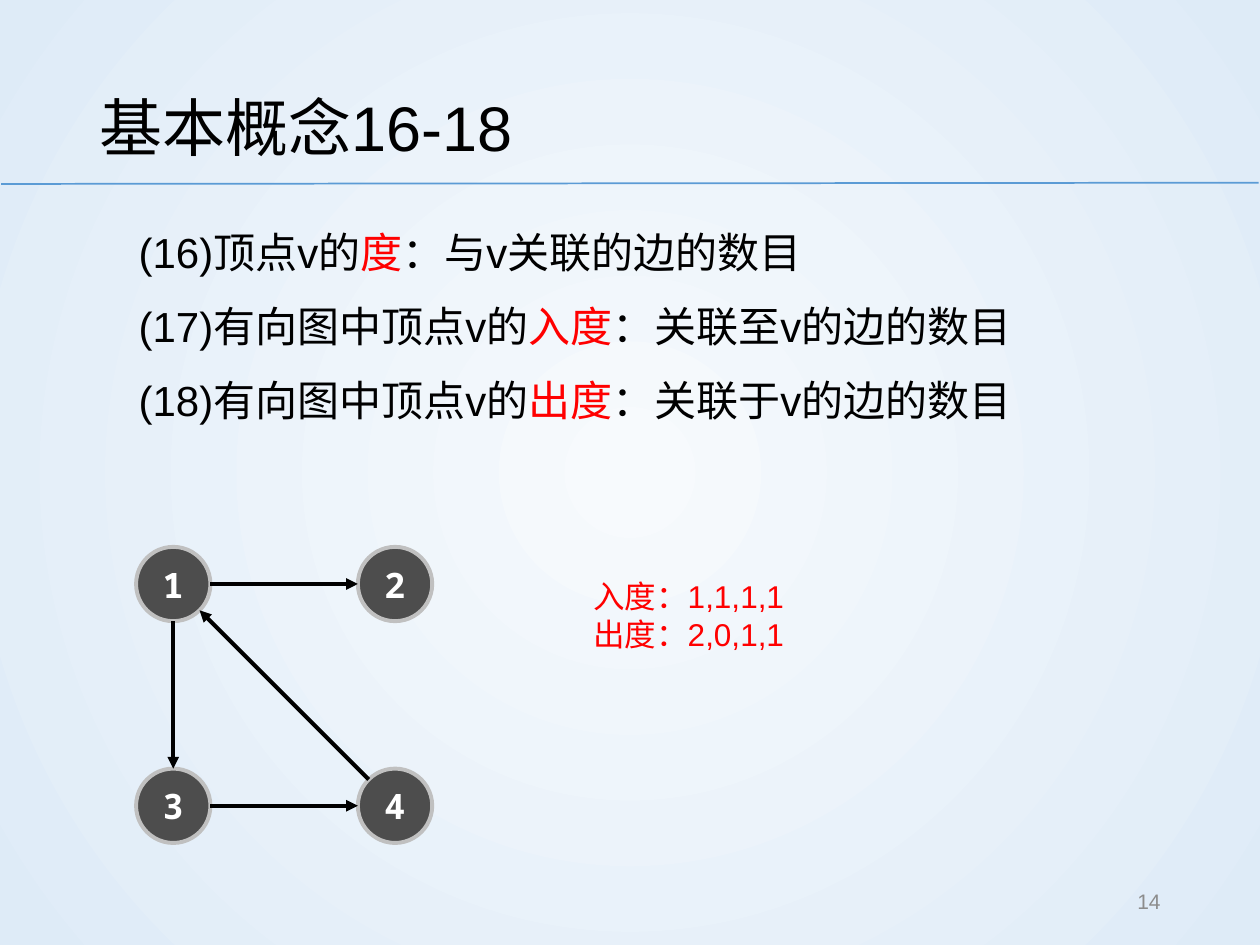
from lxml.etree import SubElement
from pptx import Presentation
from pptx.dml.color import RGBColor
from pptx.enum.shapes import MSO_CONNECTOR, MSO_SHAPE
from pptx.enum.text import MSO_ANCHOR, MSO_AUTO_SIZE, PP_ALIGN
from pptx.oxml import parse_xml
from pptx.oxml.ns import nsdecls, qn
from pptx.util import Inches, Pt


def style(r, size, color, name="Arial", bold=False):
    r.font.size = Pt(size)
    r.font.name = name
    r.font.bold = bold
    r.font.color.rgb = RGBColor.from_string(color)


def add_line(x1, y1, x2, y2, color, width):
    line = s.shapes.add_connector(MSO_CONNECTOR.STRAIGHT, Inches(x1), Inches(y1), Inches(x2), Inches(y2))
    line.line.color.rgb = RGBColor.from_string(color)
    line.line.width = Pt(width)
    SubElement(line._element.spPr, qn("a:effectLst"))
    return line


prs = Presentation()
prs.slide_width, prs.slide_height = Inches(10), Inches(7.5)
s = prs.slides.add_slide(prs.slide_layouts[1])

fill = s.background.fill
fill.gradient()
for stop, color in zip(fill.gradient_stops, ("F7FAFD", "DEEBF7")):
    stop.color.rgb = RGBColor.from_string(color)
grad = s.background._cSld.find(".//" + qn("a:gradFill"))
grad.replace(grad.find(qn("a:lin")), parse_xml(
    f'<a:path {nsdecls("a")} path="circle"><a:fillToRect l="50000" t="50000" r="50000" b="50000"/></a:path>'))

add_line(0.01, 1.46, 9.99, 1.45, "5B9BD5", 1)

title = s.shapes.title
title.left, title.top, title.width, title.height = Inches(0.69), Inches(0.4), Inches(8.62), Inches(1.08)
tf = title.text_frame
tf.text = "基本概念16-18"
tf.auto_size = MSO_AUTO_SIZE.NONE
tf.vertical_anchor = MSO_ANCHOR.MIDDLE
p = tf.paragraphs[0]
p.alignment = PP_ALIGN.LEFT
p.line_spacing = 1.2
style(p.runs[0], 36, "000000")

body = s.placeholders[1]
body.left, body.top, body.width, body.height = Inches(1), Inches(1.67), Inches(8.51), Inches(5)
tf = body.text_frame
tf.auto_size = MSO_AUTO_SIZE.NONE
definitions = [
    ("(16)顶点v的", "度", "：与v关联的边的数目"),
    ("(17)有向图中顶点v的", "入度", "：关联至v的边的数目"),
    ("(18)有向图中顶点v的", "出度", "：关联于v的边的数目"),
]
for i, parts in enumerate(definitions):
    p = tf.paragraphs[0] if i == 0 else tf.add_paragraph()
    p.line_spacing = 1.2
    p.space_before = Pt(7.5 if i else 0)
    pPr = p._p.get_or_add_pPr()
    pPr.set("marL", str(Inches(0.19)))
    pPr.set("indent", str(Inches(-0.19)))
    SubElement(pPr, qn("a:buNone"))
    for text, color in zip(parts, ("000000", "FF0000", "000000")):
        r = p.add_run()
        r.text = text
        style(r, 24, color)

size, step = 0.59, 1.76
left, top = 1.08, 4.34
centers = {}
for i in range(4):
    x, y = left + i % 2 * step, top + i // 2 * step
    centers[i + 1] = (x + size / 2, y + size / 2)
    node = s.shapes.add_shape(MSO_SHAPE.OVAL, Inches(x), Inches(y), Inches(size), Inches(size))
    node.shadow.inherit = False
    node.fill.solid()
    node.fill.fore_color.rgb = RGBColor.from_string("4D4D4D")
    node.line.color.rgb = RGBColor.from_string("C0C0C0")
    node.line.width = Pt(2.25)
    tf = node.text_frame
    tf.word_wrap = False
    tf.vertical_anchor = MSO_ANCHOR.MIDDLE
    tf.margin_left = tf.margin_right = tf.margin_top = tf.margin_bottom = Inches(0.04)
    tf.text = str(i + 1)
    p = tf.paragraphs[0]
    p.alignment = PP_ALIGN.CENTER
    style(p.runs[0], 20, "FFFFFF", "Noto Sans Mono", True)

for start, end in [(1, 2), (1, 3), (3, 4), (4, 1)]:
    (x1, y1), (x2, y2) = centers[start], centers[end]
    dx, dy = x2 - x1, y2 - y1
    trim = size / 2 / (dx ** 2 + dy ** 2) ** 0.5
    arrow = add_line(x1 + dx * trim, y1 + dy * trim, x2 - dx * trim, y2 - dy * trim, "000000", 2.25)
    SubElement(arrow.line._get_or_add_ln(), qn("a:tailEnd"), type="triangle")

degrees = s.shapes.add_textbox(Inches(4.61), Inches(4.53), Inches(4.12), Inches(0.71))
tf = degrees.text_frame
tf.word_wrap = True
tf.auto_size = MSO_AUTO_SIZE.SHAPE_TO_FIT_TEXT
tf.text = "入度：1,1,1,1\n出度：2,0,1,1"
for p in tf.paragraphs:
    style(p.runs[0], 18, "FF0000")

number = s.shapes.add_textbox(Inches(7.06), Inches(6.95), Inches(2.25), Inches(0.4))
tf = number.text_frame
tf.word_wrap = True
tf.vertical_anchor = MSO_ANCHOR.MIDDLE
tf.text = "14"
p = tf.paragraphs[0]
p.alignment = PP_ALIGN.RIGHT
style(p.runs[0], 12, "8C8C8C")

prs.save("out.pptx")
